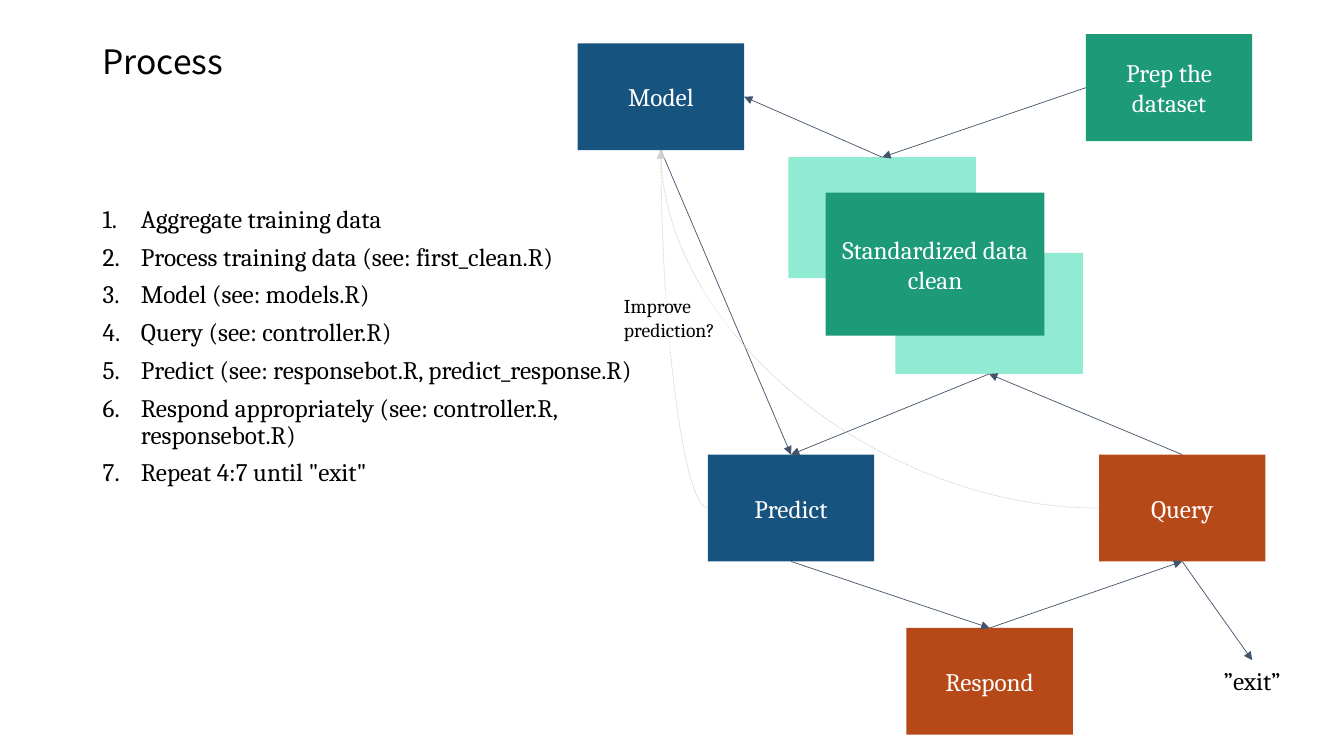
from lxml.etree import SubElement
from pptx import Presentation
from pptx.dml.color import RGBColor
from pptx.enum.dml import MSO_LINE
from pptx.enum.shapes import MSO_CONNECTOR, MSO_SHAPE
from pptx.enum.text import MSO_ANCHOR, PP_ALIGN
from pptx.oxml.ns import qn
from pptx.util import Inches, Pt

BLACK = RGBColor(0x00, 0x00, 0x00)
WHITE = RGBColor(0xFF, 0xFF, 0xFF)
BLUE = RGBColor(0x16, 0x53, 0x7F)
ORANGE = RGBColor(0xB7, 0x49, 0x19)
GREEN = RGBColor(0x1D, 0x9A, 0x78)
MINT = RGBColor(0x91, 0xEA, 0xD2)
SLATE = RGBColor(0x44, 0x54, 0x6A)
GREY = RGBColor(0xD0, 0xCE, 0xCE)

TITLE_FONT = "Noto Sans CJK KR"
BODY_FONT = "Cambria"
STEP = (1.65, 1.06)
CARD = (1.86, 1.2)
CLEAN = (2.17, 1.42)
TOP, LEFT, BOTTOM, RIGHT = range(4)

STEPS = [
    "Aggregate training data",
    "Process training data (see: first_clean.R)",
    "Model (see: models.R)",
    "Query (see: controller.R)",
    "Predict (see: responsebot.R, predict_response.R)",
    "Respond appropriately (see: controller.R, responsebot.R)",
    'Repeat 4:7 until "exit"',
]
BOXES = [
    ("predict", "Predict", 7.02, 4.51, STEP, BLUE),
    ("model", "Model", 5.73, 0.43, STEP, BLUE),
    ("query", "Query", 10.9, 4.51, STEP, ORANGE),
    ("respond", "Respond", 8.99, 6.23, STEP, ORANGE),
    ("prep", "Prep the dataset", 10.77, 0.34, STEP, GREEN),
    ("lower card", "", 8.88, 2.51, CARD, MINT),
    ("upper card", "", 7.82, 1.56, CARD, MINT),
    ("clean", "Standardized data clean", 8.19, 1.91, CLEAN, GREEN),
]
FLOWS = [
    ("prep", LEFT, "upper card", TOP),
    ("upper card", TOP, "model", RIGHT),
    ("query", TOP, "lower card", BOTTOM),
    ("lower card", BOTTOM, "predict", TOP),
    ("predict", BOTTOM, "respond", TOP),
    ("respond", TOP, "query", BOTTOM),
    ("query", BOTTOM, "exit", TOP),
    ("model", BOTTOM, "predict", TOP),
]
FEEDBACK = ["query", "predict"]
NOTE_OUTLINE = [(6.09, 2.87), (7.08, 2.87), (7.19, 3.07), (7.35, 3.49), (6.09, 3.49)]


def write(shape, lines, size=18, font=BODY_FONT, color=BLACK, align=PP_ALIGN.LEFT,
          anchor=MSO_ANCHOR.TOP, spacing=None, before=None, numbered=False):
    frame = shape.text_frame
    frame.word_wrap = True
    frame.vertical_anchor = anchor
    for index, line in enumerate(lines):
        para = frame.add_paragraph() if index else frame.paragraphs[0]
        para.alignment = align
        if spacing:
            para.line_spacing = spacing
        if before:
            para.space_before = Pt(before)
        if numbered:
            props = para._p.get_or_add_pPr()
            props.set("marL", str(Inches(0.38)))
            props.set("indent", str(-Inches(0.38)))
            SubElement(props, qn("a:buFont"), typeface="+mj-lt")
            SubElement(props, qn("a:buAutoNum"), type="arabicPeriod")
        span = para.add_run()
        span.text = line
        span.font.size = Pt(size)
        span.font.name = font
        span.font.color.rgb = color
        SubElement(span._r.get_or_add_rPr(), qn("a:ea"), typeface=font)


def add_text(left, top, width, height, lines, **style):
    box = page.shapes.add_textbox(Inches(left), Inches(top), Inches(width), Inches(height))
    write(box, lines, **style)
    return box


def paint(shape, color):
    shape.shadow.inherit = False
    shape.fill.solid()
    shape.fill.fore_color.rgb = color
    shape.line.fill.background()


def add_arrow(kind, start, start_side, end, end_side, color):
    arrow = page.shapes.add_connector(kind, 0, 0, 0, 0)
    arrow.begin_connect(nodes[start], start_side)
    arrow.end_connect(nodes[end], end_side)
    arrow.line.color.rgb = color
    arrow.line.width = Pt(0.5)
    SubElement(arrow.line._get_or_add_ln(), qn("a:tailEnd"), type="triangle")
    SubElement(arrow._element.spPr, qn("a:effectLst"))
    return arrow


deck = Presentation()
deck.slide_width = Inches(13.33)
deck.slide_height = Inches(7.5)
page = deck.slides.add_slide(deck.slide_layouts[6])

add_text(0.92, 0.4, 11.5, 1.45, ["Process"], size=24, font=TITLE_FONT, spacing=0.9)
add_text(0.92, 2, 5.78, 4.76, STEPS, spacing=0.9, before=7.5, numbered=True)

nodes = {}
for name, label, left, top, (width, height), color in BOXES:
    box = page.shapes.add_shape(MSO_SHAPE.RECTANGLE, Inches(left), Inches(top),
                                Inches(width), Inches(height))
    paint(box, color)
    if label:
        write(box, [label], color=WHITE, align=PP_ALIGN.CENTER, anchor=MSO_ANCHOR.MIDDLE)
    nodes[name] = box
nodes["exit"] = add_text(11.92, 6.55, 1, 0.4, ["\u201dexit\u201d"], align=PP_ALIGN.CENTER)

for flow in FLOWS:
    add_arrow(MSO_CONNECTOR.STRAIGHT, *flow, SLATE)

for source in FEEDBACK:
    curve = add_arrow(MSO_CONNECTOR.CURVE, source, LEFT, "model", BOTTOM, GREY)
    curve.line.dash_style = MSO_LINE.ROUND_DOT
    curve._element.spPr.find(qn("a:prstGeom")).set("prst", "curvedConnector2")
    frame = curve._element.spPr.find(qn("a:xfrm"))
    for flip in ("flipH", "flipV"):
        frame.attrib.pop(flip, None)
    frame.set("rot", "10800000")

corners = [(Inches(x), Inches(y)) for x, y in NOTE_OUTLINE]
builder = page.shapes.build_freeform(*corners[0])
builder.add_line_segments(corners[1:], close=True)
note = builder.convert_to_shape()
paint(note, WHITE)
tint = note._element.spPr.find(qn("a:solidFill")).find(qn("a:srgbClr"))
SubElement(tint, qn("a:alpha"), val="50000")
write(note, ["Improve prediction?"], size=14)

deck.save("out.pptx")
